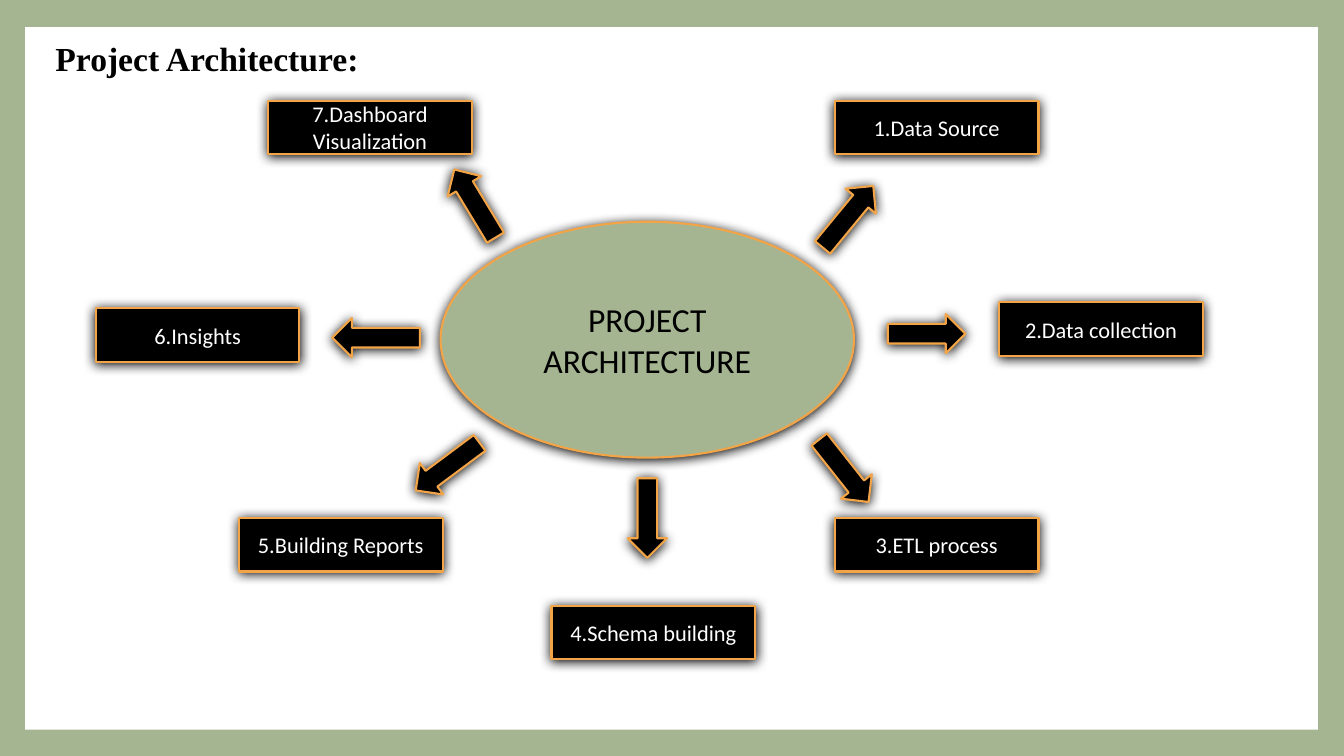
from lxml.etree import SubElement
from pptx import Presentation
from pptx.dml.color import RGBColor
from pptx.enum.shapes import MSO_SHAPE as Kind
from pptx.enum.text import MSO_ANCHOR as Anchor, PP_ALIGN as Align
from pptx.oxml.ns import qn
from pptx.util import Inches, Pt

SAGE = RGBColor(0xA5, 0xB5, 0x92)
AMBER = RGBColor(0xF3, 0xA4, 0x47)
BLACK = RGBColor(0, 0, 0)
WHITE = RGBColor(255, 255, 255)

TITLE = "Project Architecture:"
HUB = "PROJECT ARCHITECTURE"
BOX_W, BOX_H = 2.02, 0.53
ARROW_W = 0.39
# Step label, box left and top, arrow centre x and y, arrow length, rotation
STEPS = [
    ("1.Data Source", 8.28, 1, 8.41, 2.15, 0.79, 219.5),
    ("2.Data collection", 9.91, 3, 9.19, 3.31, 0.77, 270),
    ("3.ETL process", 8.28, 5.14, 8.37, 4.67, 0.79, 321.7),
    ("4.Schema building", 5.47, 6.01, 6.42, 5.14, 0.79, 0),
    ("5.Building Reports", 2.37, 5.14, 4.44, 4.63, 0.79, 53.3),
    ("6.Insights", 0.95, 3.06, 3.73, 3.35, 0.87, 90),
    ("7.Dashboard Visualization", 2.66, 1, 4.71, 2.02, 0.79, 148.8),
]


def add(kind, x, y, w, h, fill):
    shape = slide.shapes.add_shape(kind, *map(Inches, (x, y, w, h)))
    shape.fill.solid()
    shape.fill.fore_color.rgb = fill
    shape.shadow.inherit = False
    return shape


def glow(shape):
    """Give the shape its amber outline and soft black drop shadow."""
    shape.line.color.rgb = AMBER
    shape.line.width = Pt(1.5)
    effects = shape._element.spPr.find(qn("a:effectLst"))
    shadow = SubElement(effects, qn("a:outerShdw"), blurRad=str(Pt(8.5)),
                        dist=str(Pt(1)), dir="5400000", algn="ctr",
                        rotWithShape="0")
    SubElement(shadow, qn("a:srgbClr"), val=str(BLACK))


def write(shape, text, size, color, font="Calibri", bold=False,
          align=Align.CENTER, anchor=Anchor.MIDDLE):
    frame = shape.text_frame
    frame.text = text
    frame.word_wrap = True
    frame.vertical_anchor = anchor
    para = frame.paragraphs[0]
    para.alignment = align
    face = para.runs[0].font
    face.name, face.size, face.bold = font, Pt(size), bold
    face.color.rgb = color


deck = Presentation()
deck.slide_width, deck.slide_height = Inches(13.33), Inches(7.5)
slide = deck.slides.add_slide(deck.slide_layouts[5])
slide.background.fill.solid()
slide.background.fill.fore_color.rgb = SAGE

panel = add(Kind.RECTANGLE, 0.25, 0.27, 12.82, 6.97, WHITE)
panel.line.fill.background()
slide.shapes._spTree.insert(2, panel._element)  # behind the title

title = slide.shapes.title
title.left, title.top = Inches(0.45), Inches(0.33)
title.width, title.height = Inches(4.42), Inches(0.5)
write(title, TITLE, 24, BLACK, "Times New Roman", True, Align.LEFT, Anchor.TOP)

for label, x, y, mid_x, mid_y, size, turn in STEPS:
    box = add(Kind.RECTANGLE, x, y, BOX_W, BOX_H, BLACK)
    glow(box)
    write(box, label, 16, WHITE)
    arrow = add(Kind.DOWN_ARROW, mid_x - ARROW_W / 2, mid_y - size / 2,
                ARROW_W, size, BLACK)
    arrow.rotation = turn
    glow(arrow)

hub = add(Kind.OVAL, 4.37, 2.2, 4.1, 2.34, SAGE)
glow(hub)
write(hub, HUB, 24, BLACK)

deck.save("out.pptx")
